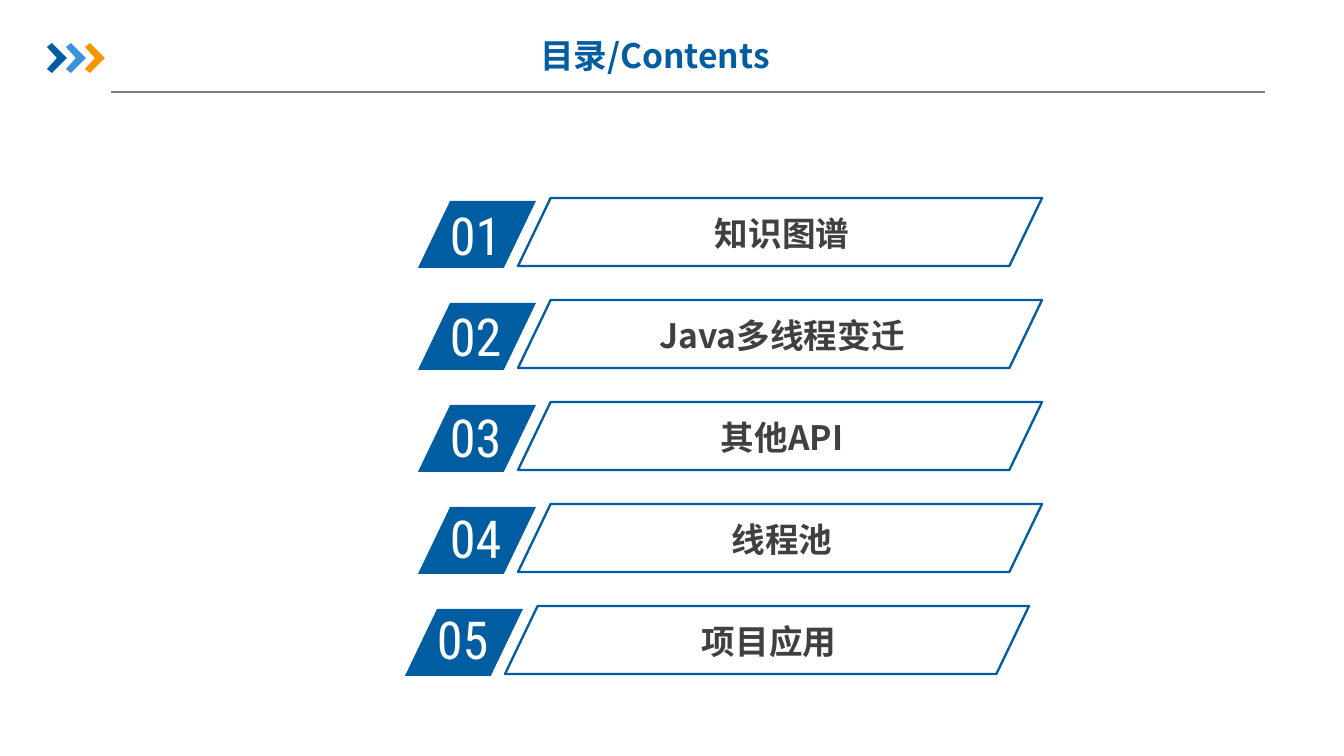
import pptx
import pptx.util
import pptx.dml.color
import pptx.enum.shapes
import pptx.enum.text
import pptx.oxml.ns
import lxml.etree

# Content
TITLE = "目录/Contents"
# (number, topic, horizontal shift in px)
ITEMS = [
    ("01", "知识图谱", 0),
    ("02", "Java多线程变迁", 0),
    ("03", "其他API", 0),
    ("04", "线程池", 0),
    ("05", "项目应用", -13),
]
BLUE, GREY, DARK, WHITE = "005DA2", "808080", "404040", "FFFFFF"
CHEVRON_COLORS = [BLUE, "3992DB", "F79600"]
CHEVRON = [(0, 4), (5, 0), (20, 15), (5, 30), (0, 26), (10, 15)]
CJK, CONDENSED = "Noto Sans CJK SC", "Roboto Condensed"

# Layout in px
SLIDE_W, SLIDE_H = 1344, 756
ROW_TOP, ROW_PITCH = 198, 102
NUMBER_TOP, NUMBER_PITCH = 196, 101
SCALE = 914400 / 134.4


def px(n):
    return pptx.util.Emu(round(n * SCALE))


def rgb(color):
    return pptx.dml.color.RGBColor.from_string(color)


def add_text(s, box, text, size, font, color, bold=False, center=True,
             margins=(13, 7)):
    sp = s.shapes.add_textbox(*map(px, box))
    tf = sp.text_frame
    tf.word_wrap = True
    tf.margin_left = tf.margin_right = px(margins[0])
    tf.margin_top = tf.margin_bottom = px(margins[1])
    p = tf.paragraphs[0]
    if center:
        p.alignment = pptx.enum.text.PP_ALIGN.CENTER
    r = p.add_run()
    r.text = text
    r.font.size = pptx.util.Pt(size)
    r.font.bold = bold
    r.font.color.rgb = rgb(color)
    r.font.name = font
    ea = lxml.etree.SubElement(r.font._element, pptx.oxml.ns.qn("a:ea"))
    ea.set("typeface", font)
    return tf


def add_slanted(s, box, fill=None, line=None):
    sp = s.shapes.add_shape(
        pptx.enum.shapes.MSO_SHAPE.PARALLELOGRAM, *map(px, box))
    sp.adjustments[0] = 0.48
    style(sp, fill, line)


def style(sp, fill=None, line=None):
    sp.shadow.inherit = False
    if fill:
        sp.fill.solid()
        sp.fill.fore_color.rgb = rgb(fill)
    else:
        sp.fill.background()
    if line:
        sp.line.color.rgb = rgb(line)
        sp.line.width = pptx.util.Pt(1.25)
    else:
        sp.line.fill.background()


prs = pptx.Presentation()
prs.slide_width, prs.slide_height = px(SLIDE_W), px(SLIDE_H)
s = prs.slides.add_slide(prs.slide_layouts[6])

# Header rule
rule = s.shapes.add_connector(
    pptx.enum.shapes.MSO_CONNECTOR.STRAIGHT, *map(px, (111, 92, 1265, 92)))
rule.line.color.rgb = rgb(GREY)
rule.line.width = pptx.util.Pt(0.75)
lxml.etree.SubElement(rule._element.spPr, pptx.oxml.ns.qn("a:effectLst"))

# Chevrons
for i, color in enumerate(CHEVRON_COLORS):
    points = [(px(47 + 19 * i + x), px(43 + y)) for x, y in CHEVRON]
    builder = s.shapes.build_freeform(*points[0])
    builder.add_line_segments(points[1:], close=True)
    style(builder.convert_to_shape(), fill=color)

# Title
tf = add_text(s, (489, 19, 332, 72), TITLE, 18, CJK, BLUE, bold=True)
tf.vertical_anchor = pptx.enum.text.MSO_ANCHOR.MIDDLE

# Contents rows
for i, (number, topic, shift) in enumerate(ITEMS):
    top = ROW_TOP + i * ROW_PITCH
    add_slanted(s, (418 + shift, top + 3, 118, 67), fill=BLUE)
    add_text(s, (437 + shift, NUMBER_TOP + i * NUMBER_PITCH, 113, 66),
             number, 28, CONDENSED, WHITE, center=False)
    add_text(s, (590 + shift, top + 10, 384, 51), topic, 18, CJK, DARK,
             bold=True, margins=(9, 5))
    add_slanted(s, (518 + shift, top, 524, 68), line=BLUE)

prs.save("out.pptx")
